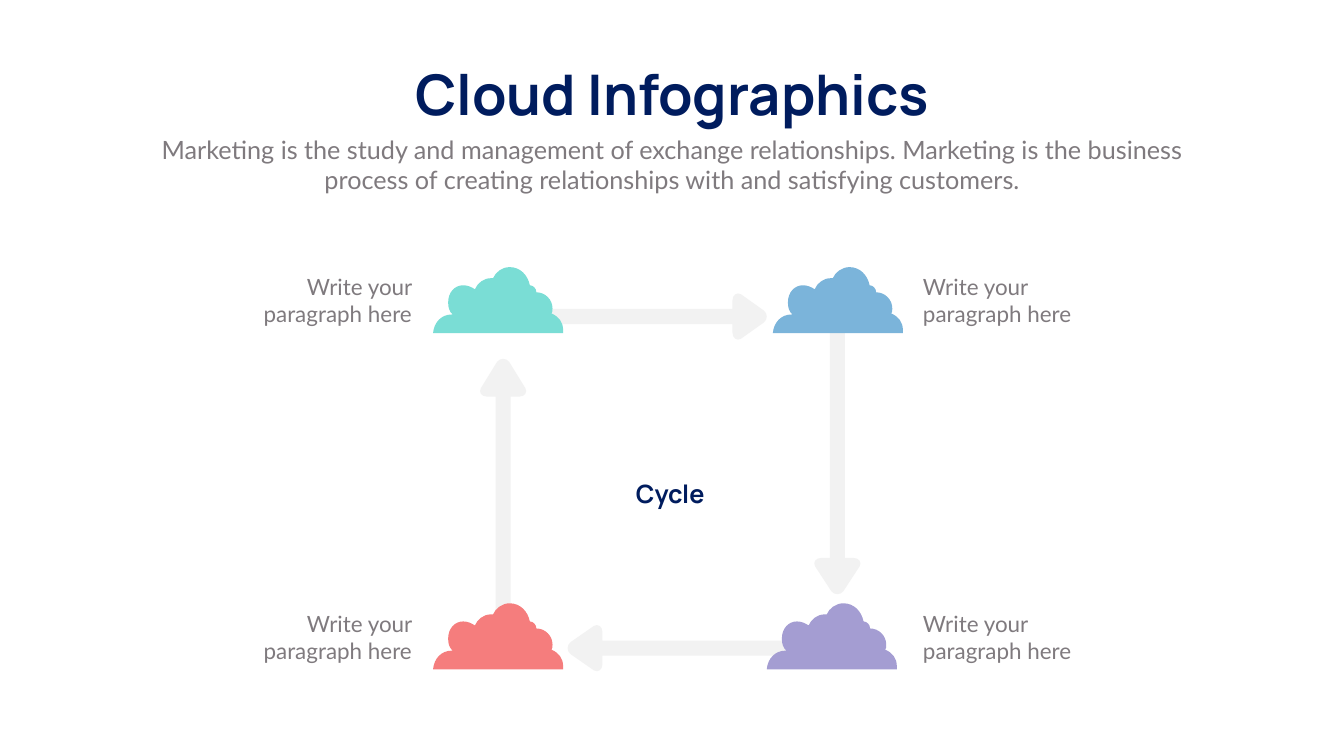
from lxml import etree
from pptx import Presentation
from pptx import util as u
from pptx.dml.color import RGBColor
from pptx.enum import text as t
from pptx.oxml import ns

NAVY = "001C5E"
GREY = "7F7A7E"
ARROW_GREY = "F2F2F2"

# Each step is an end point, or two control points and an end point.
CLOUD = [
    [(0, 1.31)],
    [(2.58, 1.31)],
    [(2.58, 1.29), (2.58, 1.27), (2.58, 1.25)],
    [(2.58, 1.09), (2.49, 0.98), (2.35, 0.92)],
    [(2.37, 0.9), (2.37, 0.86), (2.37, 0.82)],
    [(2.37, 0.64), (2.22, 0.5), (2.05, 0.5)],
    [(2.05, 0.42), (1.98, 0.36), (1.92, 0.36)],
    [(1.88, 0.16), (1.73, 0), (1.52, 0)],
    [(1.37, 0), (1.24, 0.1), (1.19, 0.22)],
    [(1.15, 0.22)],
    [(1, 0.22), (0.88, 0.32), (0.83, 0.44)],
    [(0.77, 0.4), (0.69, 0.36), (0.6, 0.36)],
    [(0.43, 0.36), (0.3, 0.5), (0.3, 0.7)],
    [(0.3, 0.8), (0.32, 0.88), (0.39, 0.94)],
    [(0.37, 0.94)],
    [(0.17, 0.94), (0.02, 1.09), (0, 1.31)],
]

# Left and top of each cloud, its colour, and left, top, alignment of its label
CLOUDS = [
    (15.33, 5.3, "7BB4DA", 18.21, 5.37, t.PP_ALIGN.LEFT),
    (15.21, 11.97, "A49DD2", 18.21, 12.06, t.PP_ALIGN.LEFT),
    (8.59, 11.97, "F57D7D", 4.82, 12.06, t.PP_ALIGN.RIGHT),
    (8.59, 5.3, "7ADDD5", 4.82, 5.37, t.PP_ALIGN.RIGHT),
]

# Tip, direction, total length and head length
ARROWS = [
    ((15.15, 6.28), (1, 0), 5.17, 0.62),
    ((16.61, 11.73), (0, 1), 5.45, 0.66),
    ((11.32, 12.86), (-1, 0), 5.18, 0.63),
    ((9.98, 7.18), (0, -1), 5.69, 0.69),
]


def color(hex_string):
    return RGBColor.from_string(hex_string)


def add_outline(slide, steps, fill):
    """Draw all points as lines, then join each curve's three lines into one curve."""
    points = [(u.Inches(x), u.Inches(y)) for step in steps for x, y in step]
    builder = slide.shapes.build_freeform(*points[0], scale=1.0)
    builder.add_line_segments(points[1:], close=True)
    shape = builder.convert_to_shape()
    outline = next(shape.element.iter(ns.qn("a:path")))
    lines = iter(outline.findall(ns.qn("a:lnTo")))
    for step in steps[1:]:
        parts = [next(lines) for _ in step]
        if len(parts) == 3:
            curve = etree.Element(ns.qn("a:cubicBezTo"))
            parts[0].addprevious(curve)
            for line in parts:
                curve.append(line[0])
                outline.remove(line)
    shape.shadow.inherit = False
    shape.fill.solid()
    shape.fill.fore_color.rgb = color(fill)
    shape.line.fill.background()


def add_cloud(slide, left, top, fill):
    add_outline(slide, [[(left + x, top + y) for x, y in step] for step in CLOUD], fill)


def add_arrow(slide, tip, direction, length, head):
    """Points are measured back from the tip and across the arrow's axis."""
    steps = [
        [(0, 0.12)],
        [(head - 0.17, 0.44)],
        [(head - 0.09, 0.49), (head, 0.43), (head, 0.32)],
        [(head, 0.15)],
        [(length, 0.15)],
        [(length, -0.15)],
        [(head, -0.15)],
        [(head, -0.32)],
        [(head, -0.43), (head - 0.09, -0.49), (head - 0.17, -0.44)],
        [(0, -0.12)],
        [(-0.08, -0.06), (-0.08, 0.06), (0, 0.12)],
    ]
    (x, y), (dx, dy) = tip, direction
    add_outline(slide, [[(x - dx * back - dy * across, y - dy * back + dx * across)
                         for back, across in step] for step in steps], ARROW_GREY)


def add_text(slide, content, left, top, width, height, *, size, font="Lato",
             fill=GREY, bold=False, align=t.PP_ALIGN.CENTER, wrap=True):
    box = slide.shapes.add_textbox(*map(u.Inches, (left, top, width, height)))
    frame = box.text_frame
    frame.word_wrap = wrap
    frame.auto_size = t.MSO_AUTO_SIZE.SHAPE_TO_FIT_TEXT
    paragraph = frame.paragraphs[0]
    paragraph.alignment = align
    run = paragraph.add_run()
    run.text = content
    run.font.name = font
    run.font.size = u.Pt(size)
    run.font.bold = bold
    run.font.color.rgb = color(fill)


def main():
    presentation = Presentation()
    presentation.slide_width = u.Inches(26.66)
    presentation.slide_height = u.Inches(15)
    slide = presentation.slides.add_slide(presentation.slide_layouts[6])

    heading = dict(font="Manrope", fill=NAVY, bold=True)
    add_text(slide, "Cloud Infographics", 7.72, 1.14, 11.23, 1.45,
             size=80, wrap=False, **heading)
    add_text(slide, "Marketing is the study and management of exchange relationships. "
             "Marketing is the business process of creating relationships with and "
             "satisfying customers.", 2.92, 2.61, 20.82, 1.31, size=36)

    for arrow in ARROWS:
        add_arrow(slide, *arrow)
    for left, top, fill, *_ in CLOUDS:
        add_cloud(slide, left, top, fill)

    add_text(slide, "Cycle", 11.68, 9.44, 3.23, 0.71, size=36, **heading)
    for *_, left, top, align in CLOUDS:
        add_text(slide, "Write your paragraph here", left, top, 3.45, 1.18,
                 size=32, align=align)

    presentation.save("out.pptx")


if __name__ == "__main__":
    main()
